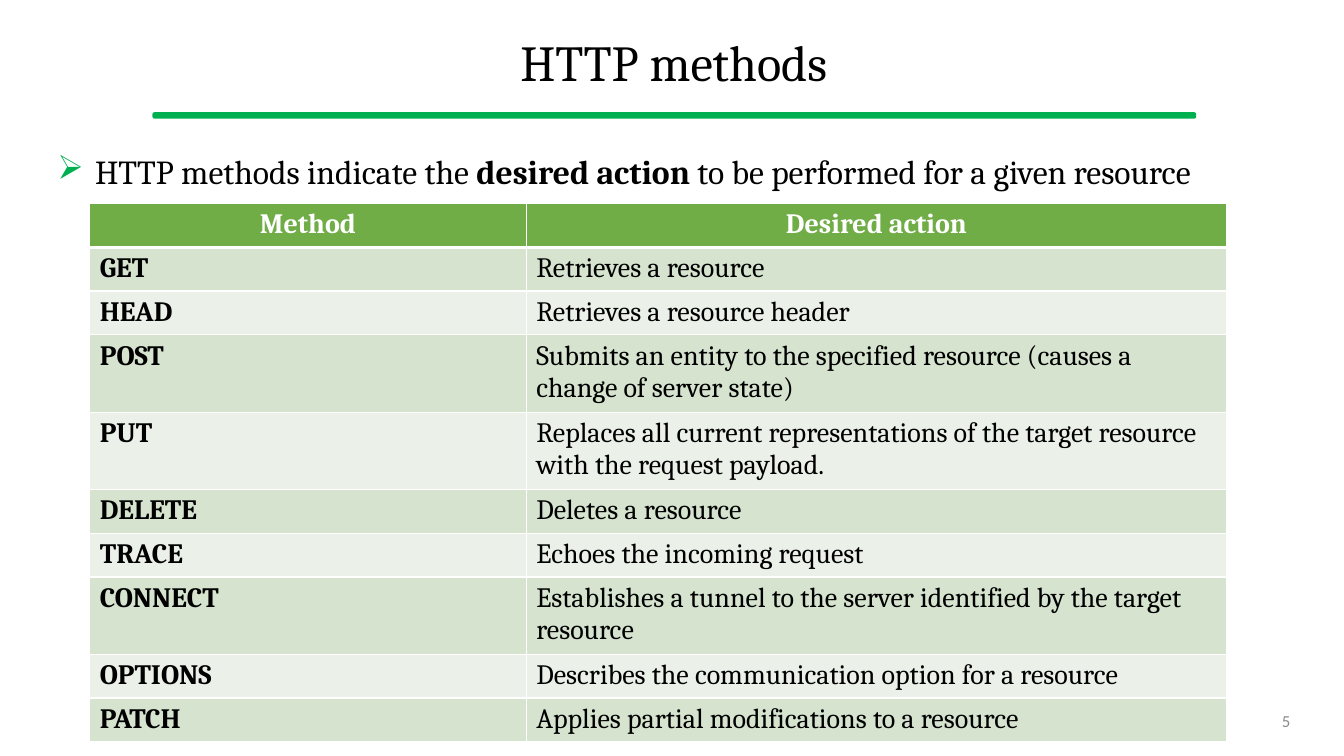
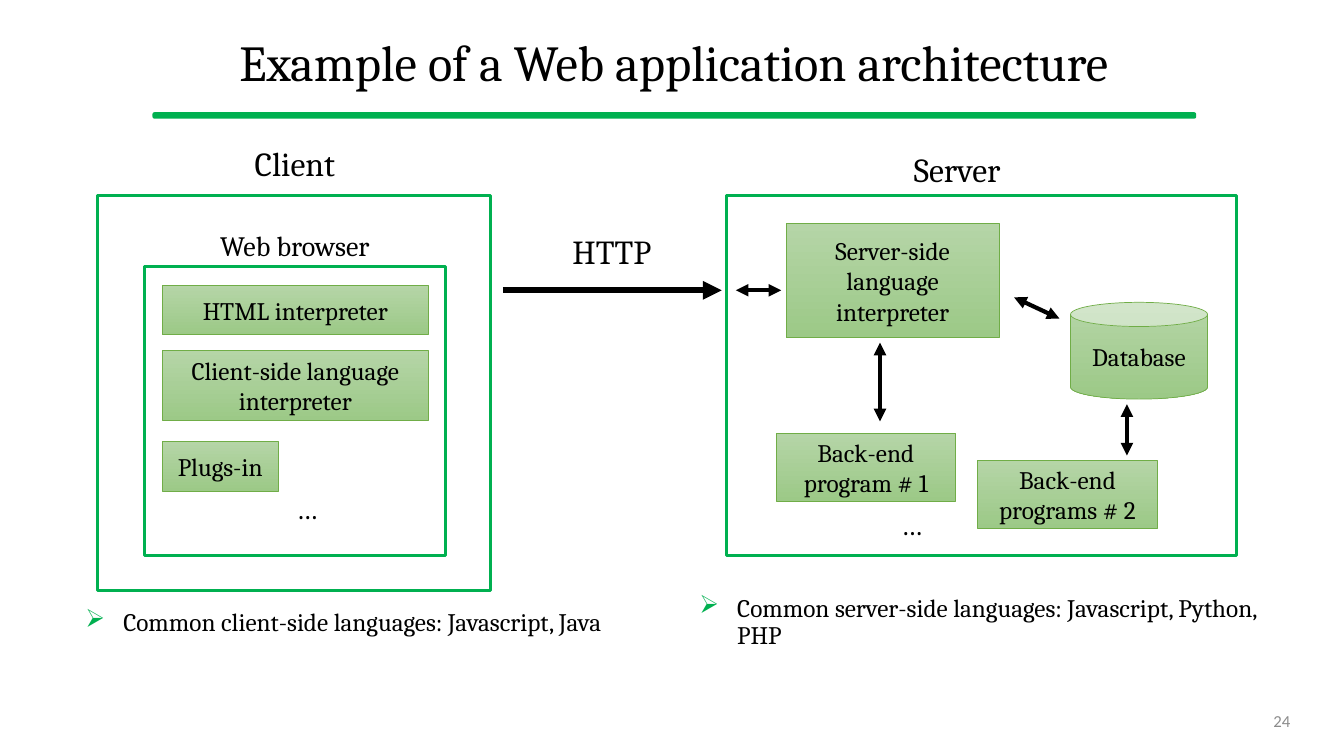
import lxml.etree
import pptx
import pptx.dml.color
import pptx.enum.shapes
import pptx.enum.text
import pptx.oxml.ns
import pptx.util

SHAPE = pptx.enum.shapes.MSO_SHAPE
ALIGN = pptx.enum.text.PP_ALIGN
ANCHOR = pptx.enum.text.MSO_ANCHOR
Pt = pptx.util.Pt


def grid(cells):
    """Length of a number of grid columns or rows, ten to the inch."""
    return pptx.util.Inches(cells / 10)


def color(code):
    return pptx.dml.color.RGBColor.from_string(code)


def add_xml(parent, tag, **attributes):
    return lxml.etree.SubElement(parent, pptx.oxml.ns.qn(tag), attributes)


class Deck:
    GREEN, LEAF = "00B050", "70AD47"
    BANDS = ("EBF1E9", "D5E3CF")
    BLOCK_SHADES = ("B5D5A7", "9CC987")
    BLACK, WHITE, GRAY = "000000", "FFFFFF", "8C8C8C"
    SERIF, SANS = "Cambria", "Calibri"

    def __init__(self):
        self.deck = pptx.Presentation()
        self.deck.slide_width = grid(133.33)
        self.deck.slide_height = grid(75)
        self.slide = None

    # Shared frame: title, rule below it, page number
    def new_slide(self, title, number):
        self.slide = self.deck.slides.add_slide(self.deck.slide_layouts[6])
        rule = self.shape(SHAPE.ROUNDED_RECTANGLE, (15.2, 11.2, 103.4, 0.5), self.GREEN, 1)
        rule.adjustments[0] = 0.26
        rule.fill.solid()
        rule.fill.fore_color.rgb = color(self.GREEN)
        heading = self.label(title, (4.7, 1.8, 124.3, 9.4), 36, anchor=ANCHOR.MIDDLE)
        heading.line_spacing = 0.9
        self.label(str(number), (94.2, 69.5, 34.8, 4), 12, ALIGN.RIGHT, ANCHOR.MIDDLE,
                   name=self.SANS, ink=self.GRAY)

    # Text
    def add_text(self, paragraph, text, size, ink=BLACK, align=ALIGN.CENTER, **style):
        paragraph.alignment = align
        run = paragraph.add_run()
        run.text = text
        values = {"size": Pt(size), "name": self.SERIF, "bold": False} | style
        for key, value in values.items():
            setattr(run.font, key, value)
        run.font.color.rgb = color(ink)

    def label(self, text, box, size, align=ALIGN.CENTER, anchor=ANCHOR.TOP, **style):
        frame = self.slide.shapes.add_textbox(*map(grid, box)).text_frame
        frame.word_wrap = True
        frame.vertical_anchor = anchor
        paragraph = frame.paragraphs[0]
        self.add_text(paragraph, text, size, align=align, **style)
        return paragraph

    def bullet(self, parts, box, size):
        """Set (text, bold) parts as one bulleted paragraph."""
        (first, bold), *rest = parts
        paragraph = self.label(first, box, size, ALIGN.LEFT, bold=bold)
        for text, bold in rest:
            self.add_text(paragraph, text, size, align=ALIGN.LEFT, bold=bold)
        paragraph.line_spacing = 0.9
        properties = paragraph._p.get_or_add_pPr()
        indent = grid(3.75)
        properties.set("marL", str(indent))
        properties.set("indent", str(-indent))
        add_xml(add_xml(properties, "a:buClr"), "a:srgbClr", val=self.GREEN)
        add_xml(properties, "a:buChar", char="➢")

    # Shapes
    def shape(self, kind, box, outline, width):
        shape = self.slide.shapes.add_shape(kind, *map(grid, box))
        shape.shadow.inherit = False
        shape.line.color.rgb = color(outline)
        shape.line.width = Pt(width)
        return shape

    def container(self, box):
        panel = self.shape(SHAPE.RECTANGLE, box, self.GREEN, 2.25)
        panel.fill.solid()
        panel.fill.fore_color.rgb = color(self.WHITE)

    def block(self, text, box, kind=SHAPE.RECTANGLE):
        block = self.shape(kind, box, self.LEAF, 0.5)
        block.fill.gradient()
        block.fill.gradient_angle = 270
        for stop, shade in zip(block.fill.gradient_stops, self.BLOCK_SHADES):
            stop.color.rgb = color(shade)
        frame = block.text_frame
        frame.word_wrap = True
        frame.vertical_anchor = ANCHOR.MIDDLE
        self.add_text(frame.paragraphs[0], text, 18)

    def arrow(self, start, end, width=3, ends=("a:headEnd", "a:tailEnd")):
        arrow = self.slide.shapes.add_connector(
            pptx.enum.shapes.MSO_CONNECTOR.STRAIGHT, *map(grid, start + end))
        arrow.line.color.rgb = color(self.BLACK)
        arrow.line.width = Pt(width)
        properties = arrow.element.spPr
        for tag in ends:
            add_xml(properties.find(pptx.oxml.ns.qn("a:ln")), tag, type="triangle")
        add_xml(properties, "a:effectLst")

    # Table
    def cell_borders(self, cell, top, bottom):
        properties = cell._tc.get_or_add_tcPr()
        for side, width in zip("LRTB", (1, 1, top, bottom)):
            border = add_xml(properties, f"a:ln{side}", w=str(Pt(width)))
            add_xml(add_xml(border, "a:solidFill"), "a:srgbClr", val=self.WHITE)

    def table(self, rows, corner, columns, row_height):
        size = (sum(columns), row_height * len(rows))
        table = self.slide.shapes.add_table(
            len(rows), len(columns), *map(grid, corner + size)).table
        for column, width in zip(table.columns, columns):
            column.width = grid(width)
        for r, texts in enumerate(rows):
            header = r == 0
            for c, text in enumerate(texts):
                cell = table.cell(r, c)
                self.cell_borders(cell, 3 if r == 1 else 1, 3 if header else 1)
                cell.fill.solid()
                cell.fill.fore_color.rgb = color(self.LEAF if header else self.BANDS[r % 2])
                self.add_text(cell.text_frame.paragraphs[0], text, 20,
                              self.WHITE if header else self.BLACK,
                              ALIGN.CENTER if header else ALIGN.LEFT,
                              bold=header or c == 0)


METHODS = [
    ("Method", "Desired action"),
    ("GET", "Retrieves a resource"),
    ("HEAD", "Retrieves a resource header"),
    ("POST", "Submits an entity to the specified resource (causes a change of server state)"),
    ("PUT", "Replaces all current representations of the target resource "
            "with the request payload."),
    ("DELETE", "Deletes a resource"),
    ("TRACE", "Echoes the incoming request"),
    ("CONNECT", "Establishes a tunnel to the server identified by the target resource"),
    ("OPTIONS", "Describes the communication option for a resource"),
    ("PATCH", "Applies partial modifications to a resource"),
]


def methods_slide(deck):
    deck.new_slide("HTTP methods", 5)
    deck.bullet([("HTTP methods indicate the ", False), ("desired action ", True),
                 ("to be performed for a given resource", False)],
                (4.7, 14.9, 124.3, 7.1), 24)
    deck.table(METHODS, (8.9, 20.2), (43.3, 69.5), 4.1)


def architecture_slide(deck):
    deck.new_slide("Example of a Web application architecture", 24)

    # Client, server and browser panels
    for box in ((9.7, 19.4, 39, 39.2), (72.1, 19.4, 50.6, 35.7), (14.3, 26.4, 29.9, 28.7)):
        deck.container(box)
    for text, left, top, width, size in (
            ("Client", 19, 13.7, 20.5, 24),
            ("Server", 84.7, 14.3, 20.5, 24),
            ("HTTP", 53.2, 22.4, 15, 24),
            ("Web browser", 19, 22.2, 20.5, 20),
            ("…", 20.2, 48.3, 20.5, 20),
            ("…", 80.2, 49.9, 20.5, 20)):
        deck.label(text, (left, top, width, 5), size)

    # Browser parts
    for text, top, width, height in (
            ("HTML interpreter", 28.3, 26.4, 4.9),
            ("Client-side language interpreter", 34.8, 26.4, 6.9),
            ("Plugs-in", 43.8, 11.5, 4.9)):
        deck.block(text, (16.1, top, width, height))

    # Server parts
    deck.block("Server-side language interpreter", (78, 22.2, 21.1, 11.3))
    deck.block("Back-end program # 1", (77, 43, 17.8, 6.7))
    deck.block("Back-end programs # 2", (97, 45.7, 17.8, 6.7))
    deck.block("Database", (106.2, 30, 13.6, 9.6), SHAPE.CAN)

    # Data flow
    deck.arrow((49.9, 28.8), (71.6, 28.8), 4.5, ("a:tailEnd",))
    for start, end in (((73, 28.8), (77.5, 28.8)), ((100.6, 29.5), (105.1, 31.6)),
                       ((87.3, 34), (87.3, 41.8)), ((111.8, 40.1), (111.8, 45.2))):
        deck.arrow(start, end)

    # Languages on each side
    for text, left, top in (
            ("Common client-side languages: Javascript, Java", 7.5, 60),
            ("Common server-side languages: Javascript, Python, PHP", 68.4, 58.6)):
        deck.bullet([(text, False)], (left, top, 59.4, 7.4), 18)


def main():
    deck = Deck()
    methods_slide(deck)
    architecture_slide(deck)
    deck.deck.save("out.pptx")


if __name__ == "__main__":
    main()
